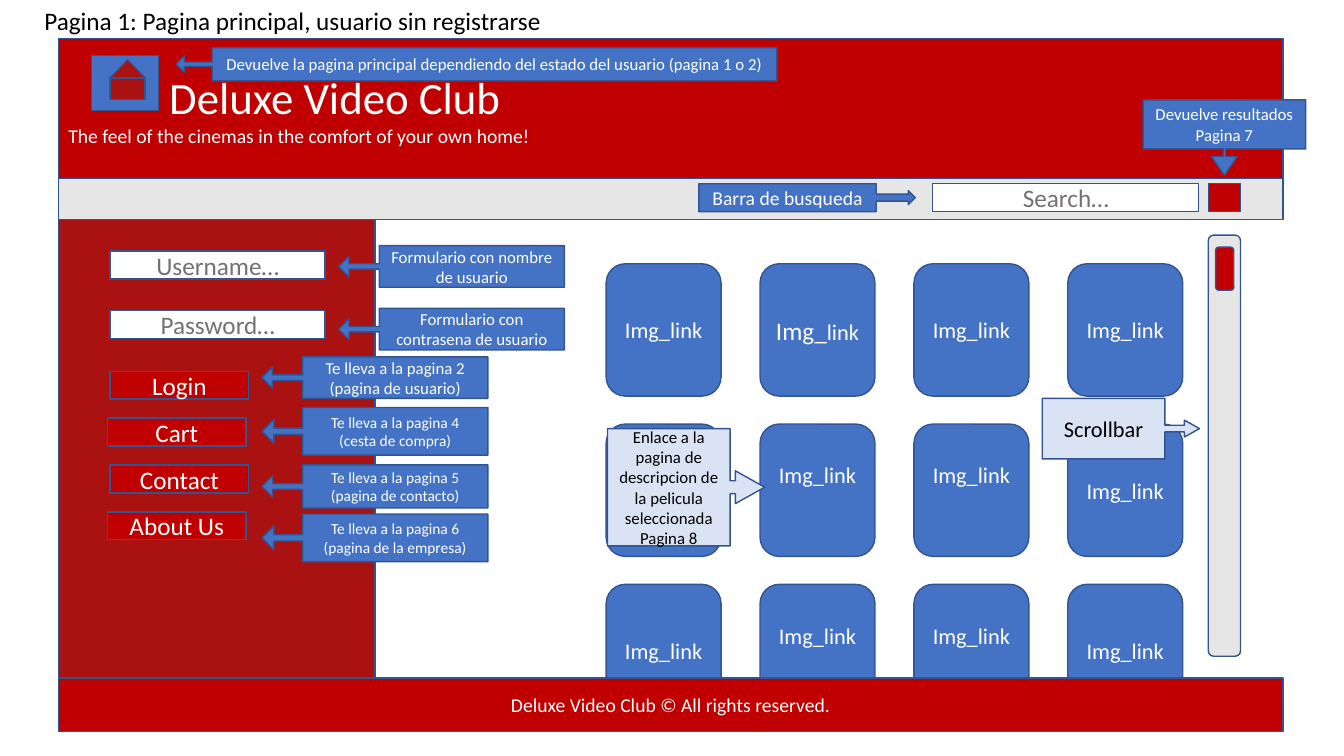
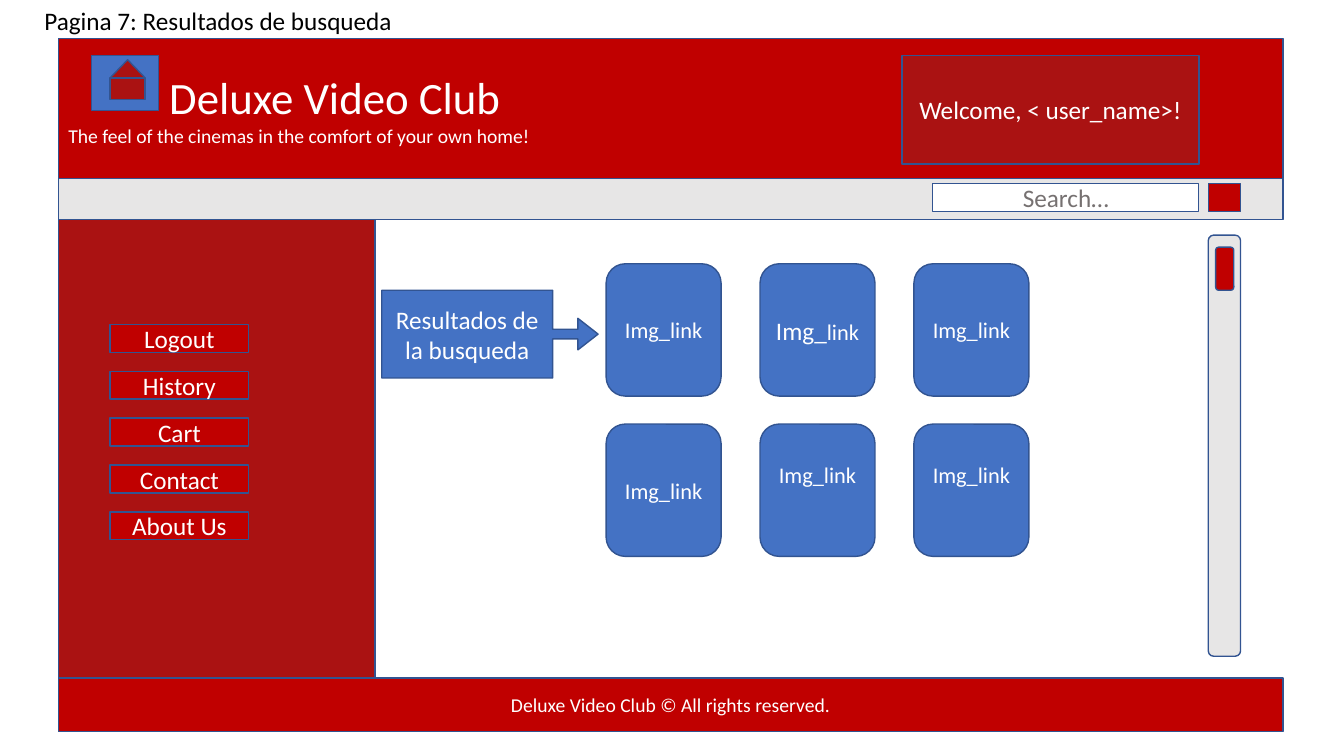
import pptx
import pptx.util
import pptx.dml.color
import pptx.enum.shapes
import pptx.enum.text

RGB = pptx.dml.color.RGBColor
SHAPE = pptx.enum.shapes.MSO_SHAPE
ALIGN = pptx.enum.text.PP_ALIGN
ANCHOR = pptx.enum.text.MSO_ANCHOR
Pt = pptx.util.Pt

RED = RGB(0xC0, 0x00, 0x00)
DARK_RED = RGB(0xAA, 0x12, 0x12)
BLUE = RGB(0x44, 0x72, 0xC4)
PALE_BLUE = RGB(0xDA, 0xE3, 0xF3)
OUTLINE = RGB(0x32, 0x54, 0x91)
LIGHT_GRAY = RGB(0xE7, 0xE6, 0xE6)
HINT_GRAY = RGB(0x76, 0x71, 0x71)
WHITE = RGB(0xFF, 0xFF, 0xFF)
BLACK = RGB(0x00, 0x00, 0x00)

# Boxes are (left, top, width, height) in percent of the slide's size
FRAME_X, FRAME_W = 4.35, 91.1
MENU_X, MENU_Y, MENU_PITCH = 8.2, 49.1, 6.2
FIELD_H = 3.7
POSTER_X, POSTER_Y = 45.1, 34.9
POSTER_DX, POSTER_DY = 11.45, 21.2
POSTER_W, POSTER_H = 8.55, 17.5

# Callout proportions: shaft, head half-width, head length, box share
LEFT_NOTE = (0.13, 0.25, 0.25, 0.82)
LEFT_LONG_NOTE = (0.13, 0.25, 0.25, 0.94)
RIGHT_NOTE = (0.25, 0.25, 0.25, 0.82)
RIGHT_PALE_NOTE = (0.11, 0.14, 0.25, 0.78)
RIGHT_WIDE_NOTE = (0.11, 0.18, 0.23, 0.79)
DOWN_NOTE = (0.03, 0.17, 0.25, 0.65)


class Mockup:
    """Wireframe style and the slide being drawn."""

    def __init__(self):
        self.deck = pptx.Presentation()
        self.deck.slide_width = pptx.util.Inches(13.33)
        self.deck.slide_height = pptx.util.Inches(7.5)
        self.slide = None

    def place(self, box):
        width, height = self.deck.slide_width, self.deck.slide_height
        return [int(share * side / 100)
                for share, side in zip(box, (width, height, width, height))]

    def style(self, paragraph, size, color, align=ALIGN.CENTER):
        paragraph.alignment = align
        for run in paragraph.runs:
            run.font.name = "Calibri"
            run.font.size = Pt(size)
            run.font.color.rgb = color

    def page(self, heading, width):
        self.slide = self.deck.slides.add_slide(self.deck.slide_layouts[5])
        title = self.slide.shapes.title
        title.left, title.top, title.width, title.height = self.place(
            (2.55, 0, width, 5.3))
        frame = title.text_frame
        frame.text = heading
        frame.word_wrap = True
        frame.auto_size = pptx.enum.text.MSO_AUTO_SIZE.NONE
        frame.vertical_anchor = ANCHOR.TOP
        self.style(frame.paragraphs[0], 18, BLACK, ALIGN.LEFT)

    def block(self, box, fill, text="", size=18, color=WHITE, kind=SHAPE.RECTANGLE):
        block = self.slide.shapes.add_shape(kind, *self.place(box))
        block.shadow.inherit = False
        block.fill.solid()
        block.fill.fore_color.rgb = fill
        block.line.color.rgb = OUTLINE
        block.line.width = Pt(1)
        if text:
            block.text_frame.text = text
            block.text_frame.vertical_anchor = ANCHOR.MIDDLE
            for paragraph in block.text_frame.paragraphs:
                self.style(paragraph, size, color)
        return block

    def note(self, kind, proportions, box, text, size=12, fill=BLUE, color=WHITE):
        callout = self.block(box, fill, text, size, color, kind)
        for index, value in enumerate(proportions):
            callout.adjustments[index] = value

    def field(self, box, hint):
        self.block(box, WHITE, hint, 18, HINT_GRAY)

    def menu(self, labels, first=0, stagger=0):
        for index, label in enumerate(labels):
            self.block((MENU_X - stagger * (index % 2),
                        MENU_Y + MENU_PITCH * (first + index), 10.3, FIELD_H),
                       RED, label)

    def posters(self, rows, columns):
        for row in rows:
            for column in range(columns):
                box = (POSTER_X + POSTER_DX * column, POSTER_Y + POSTER_DY * row,
                       POSTER_W, POSTER_H)
                poster = self.block(box, BLUE, "Img_link", 16,
                                    kind=SHAPE.ROUNDED_RECTANGLE)
                if column in (1, 2) and row > 0:
                    poster.text_frame.margin_bottom = pptx.util.Inches(0.35)
                if (row, column) == (0, 1):
                    caption = poster.text_frame.paragraphs[0]
                    caption.runs[0].text = "Img_"
                    caption.add_run().text = "link"
                    self.style(caption, 16, WHITE)
                    caption.runs[0].font.size = Pt(18)

    def site_frame(self):
        # Header with club name and slogan
        header = self.block((FRAME_X, 5.1, FRAME_W, 18.5), RED,
                            "Deluxe Video Club\n"
                            "The feel of the cinemas in the comfort of your own home!")
        club, slogan = header.text_frame.paragraphs
        self.style(club, 32, WHITE, ALIGN.LEFT)
        self.style(slogan, 14, WHITE, ALIGN.LEFT)
        club._p.get_or_add_pPr().set("marL", str(pptx.util.Inches(1)))
        # Sidebar and footer
        self.block((FRAME_X, 29, 23.55, 60.7), DARK_RED)
        self.block((FRAME_X, 89.7, FRAME_W, 7.1), RED,
                   "Deluxe Video Club © All rights reserved.", 14)
        # Home button
        self.block((6.8, 7.3, 5, 7.3), BLUE)
        self.block((8.2, 7.9, 2.6, 2.4), DARK_RED, kind=SHAPE.ISOSCELES_TRIANGLE)
        self.block((8.2, 10.3, 2.6, 2.9), DARK_RED)
        # Search bar
        self.block((FRAME_X, 23.6, FRAME_W, 5.4), LIGHT_GRAY)
        self.field((69.4, 24.3, 19.8, FIELD_H), "Search…")
        self.block((89.9, 24.3, 2.4, FIELD_H), RED)
        # Scrollbar
        self.block((89.9, 31.1, 2.4, 55.7), LIGHT_GRAY, kind=SHAPE.ROUNDED_RECTANGLE)
        self.block((90.45, 32.7, 1.35, 5.7), RED, kind=SHAPE.ROUNDED_RECTANGLE)


mockup = Mockup()
LEFT, RIGHT = SHAPE.LEFT_ARROW_CALLOUT, SHAPE.RIGHT_ARROW_CALLOUT

# Page 1: the footer covers the last row of posters
mockup.page("Pagina 1: Pagina principal, usuario sin registrarse", 41.6)
mockup.posters([2], 4)
mockup.site_frame()
mockup.posters([0, 1], 4)

# Login form and menu
for top, hint in ((33.2, "Username…"), (41.1, "Password…")):
    mockup.field((MENU_X, top, 16, FIELD_H), hint)
mockup.menu(["Login", "Cart", "Contact", "About Us"], stagger=0.2)

# Notes on the header and search bar
mockup.note(LEFT, LEFT_LONG_NOTE, (13.1, 6.3, 44.7, 4.4),
            "Devuelve la pagina principal dependiendo del estado del usuario (pagina 1 o 2)")
mockup.note(RIGHT, RIGHT_NOTE, (52, 24.3, 16.1, FIELD_H), "Barra de busqueda", 14)
mockup.note(SHAPE.DOWN_ARROW_CALLOUT, DOWN_NOTE, (85.05, 13.2, 12.1, 10),
            "Devuelve resultados\nPagina 7")

# Notes on the form and menu
for left, top, height, size, text in (
        (25.2, 32.5, 5.5, 12, "Formulario con nombre de usuario"),
        (25.2, 40.8, 5.5, 12, "Formulario con contrasena de usuario"),
        (19.5, 47.2, 5.5, 12, "Te lleva a la pagina 2 (pagina de usuario)"),
        (19.5, 53.9, 6.3, 11, "Te lleva a la pagina 4 (cesta de compra)"),
        (19.5, 61.5, 5.7, 11, "Te lleva a la pagina 5 (pagina de contacto)"),
        (19.5, 68, 6.3, 11, "Te lleva a la pagina 6 (pagina de la empresa)")):
    mockup.note(LEFT, LEFT_NOTE, (left, top, 16.8, height), text, size)

# Notes on the posters
for box, size, text in (
        ((77.55, 52.7, 11.7, 8), 16, "Scrollbar"),
        ((45.2, 56.7, 11.7, 15.5), 12,
         "Enlace a la pagina de descripcion de la pelicula seleccionada\nPagina 8")):
    mockup.note(RIGHT, RIGHT_PALE_NOTE, box, text, size, PALE_BLUE, BLACK)

# Page 7: search results for a registered user
mockup.page("Pagina 7: Resultados de busqueda", 37.4)
mockup.site_frame()
mockup.posters([0, 1], 3)
mockup.block((67.1, 7.3, 22.1, 14.4), DARK_RED, "Welcome, < user_name>!")
mockup.menu(["Logout", "History", "Cart", "Contact", "About Us"], first=-1)
mockup.note(RIGHT, RIGHT_WIDE_NOTE, (28.4, 38.4, 16.1, 11.6),
            "Resultados de la busqueda", 18)

mockup.deck.save("out.pptx")
